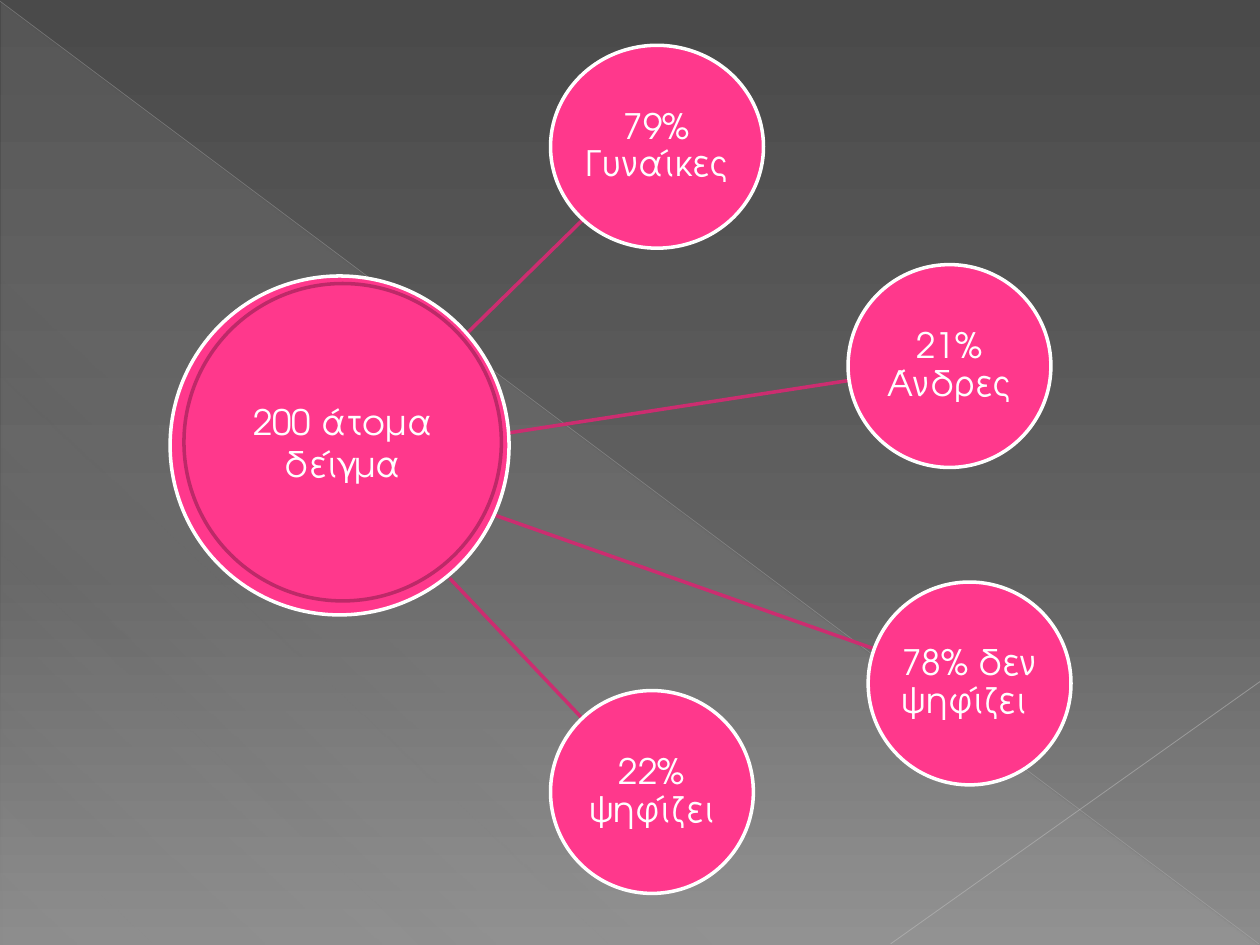
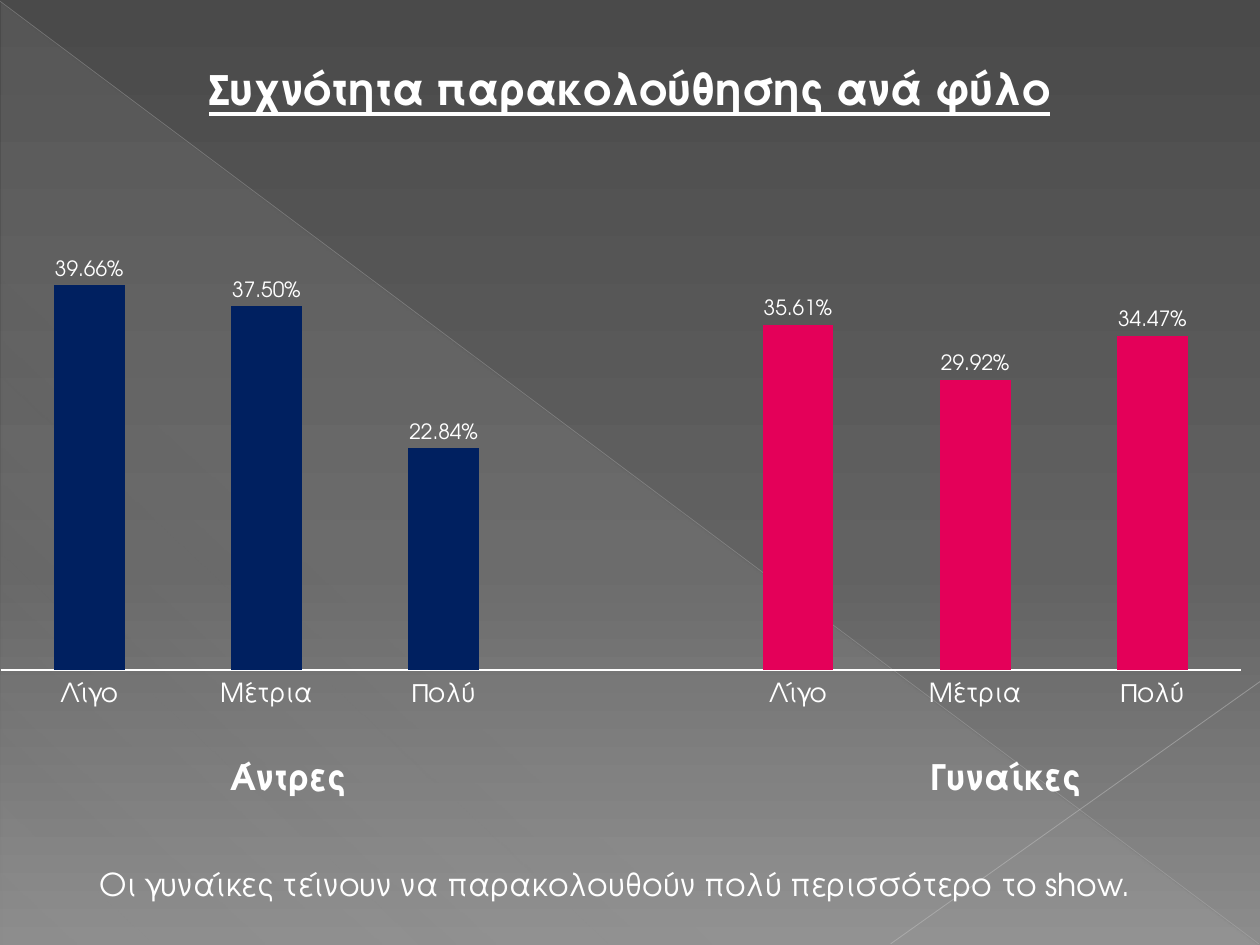
from lxml.etree import SubElement
from pptx import Presentation
from pptx.chart.data import CategoryChartData
from pptx.dml.color import RGBColor
from pptx.enum.chart import XL_CHART_TYPE, XL_LABEL_POSITION, XL_TICK_LABEL_POSITION, XL_TICK_MARK
from pptx.enum.shapes import MSO_CONNECTOR, MSO_SHAPE
from pptx.enum.text import MSO_ANCHOR, MSO_AUTO_SIZE, PP_ALIGN
from pptx.oxml import parse_xml
from pptx.oxml.ns import nsdecls, qn
from pptx.util import Pt

FONT = "TeX Gyre Adventor"
WHITE = RGBColor(0xFF, 0xFF, 0xFF)
PINK = RGBColor(0xFF, 0x38, 0x8C)
HUB_RING = RGBColor(0xBD, 0x29, 0x68)
SPOKE = RGBColor(0xCC, 0x2D, 0x70)
MEN_BLUE = RGBColor(0x00, 0x20, 0x60)
WOMEN_PINK = RGBColor(0xE4, 0x00, 0x59)
DARK_GREY = RGBColor(0x4A, 0x4A, 0x4A)
MID_GREY = RGBColor(0x62, 0x62, 0x62)
LIGHT_GREY = RGBColor(0x8C, 0x8C, 0x8C)
VEIL = RGBColor(0xD2, 0xD2, 0xD2)
FALLING_EDGE = RGBColor(0xBF, 0xBF, 0xBF)
RISING_EDGE = RGBColor(0xC6, 0xC6, 0xC6)

# left, top, width, height and label of each result circle
RESULTS = [
    (314.6, 25.9, 121.7, 115.9, "79% Γυναίκες"),
    (484.6, 151.2, 115.9, 115.9, "21% Άνδρες"),
    (496.1, 332.6, 115.9, 115.9, "78% δεν ψηφίζει "),
    (314.6, 394.6, 115.9, 115.9, "22% ψηφίζει"),
]
SPOKES = [
    (257, 330.5, 332.6, 410.4),
    (260.6, 286.6, 499.7, 370.8),
    (260.6, 252, 485.3, 217.4),
    (260.6, 196.6, 332.6, 126),
]
FREQUENCIES = ["Λίγο", "Μέτρια", "Πολύ"]
MEN = [0.3966, 0.375, 0.2284]
WOMEN = [0.3561, 0.2992, 0.3447]


def points(*lengths):
    return [Pt(length) for length in lengths]


def set_values(target, values):
    for name, value in values.items():
        setattr(target, name, value)


def set_font(font, size, **extra):
    set_values(font, {"name": FONT, "size": Pt(size), **extra})
    font.color.rgb = WHITE


def set_gradient(fill, properties, stops, angle):
    """Give fill the (position, colour, opacity) stops, in percent."""
    fill.gradient()
    marks = "".join(
        f'<a:gs pos="{position * 1000}"><a:srgbClr val="{color}">'
        f'<a:alpha val="{opacity * 1000}"/></a:srgbClr></a:gs>'
        for position, color, opacity in stops
    )
    gradient = parse_xml(
        f'<a:gradFill {nsdecls("a")} rotWithShape="1"><a:gsLst>{marks}</a:gsLst>'
        f'<a:lin ang="{angle * 60000}" scaled="0"/></a:gradFill>'
    )
    properties.replace(properties.find(qn("a:gradFill")), gradient)


def add_line(slide, ends, color, width, opacity=100):
    line = slide.shapes.add_connector(MSO_CONNECTOR.STRAIGHT, *points(*ends))
    line.line.color.rgb = color
    line.line.width = Pt(width)
    properties = line._element.spPr
    if opacity < 100:
        tone = next(properties.iter(qn("a:srgbClr")))
        SubElement(tone, qn("a:alpha"), val=str(opacity * 1000))
    SubElement(properties, qn("a:effectLst"))
    return line


def add_circle(slide, box, outline, label="", inset=7.2, spacing=1.0):
    circle = slide.shapes.add_shape(MSO_SHAPE.OVAL, *points(*box))
    circle.shadow.inherit = False
    circle.fill.solid()
    circle.fill.fore_color.rgb = PINK
    circle.line.color.rgb = outline
    circle.line.width = Pt(2)
    if label:
        sides = ("margin_left", "margin_right", "margin_top", "margin_bottom")
        frame = circle.text_frame
        set_values(frame, {side: Pt(inset) for side in sides})
        set_values(frame, {"word_wrap": True, "vertical_anchor": MSO_ANCHOR.MIDDLE})
        write(frame, label, 20, PP_ALIGN.CENTER, line_spacing=spacing)


def write(frame, text, size, alignment, line_spacing=1.0, **font_values):
    paragraph = frame.paragraphs[0]
    paragraph.text = text
    set_values(paragraph, {"alignment": alignment, "line_spacing": line_spacing})
    set_font(paragraph.runs[0].font, size, **font_values)


def add_caption(slide, box, text, size, alignment, tabs=(), **font_values):
    frame = slide.shapes.add_textbox(*points(*box)).text_frame
    frame.word_wrap = True
    if tabs:
        stops = SubElement(frame.paragraphs[0]._p.get_or_add_pPr(), qn("a:tabLst"))
        for position in tabs:
            SubElement(stops, qn("a:tab"), pos=str(Pt(position)), algn="ctr")
    write(frame, text, size, alignment, **font_values)


def set_title(slide, box, text):
    title = slide.shapes.title
    set_values(title, dict(zip(("left", "top", "width", "height"), points(*box))))
    set_values(title.text_frame, {
        "word_wrap": True,
        "auto_size": MSO_AUTO_SIZE.NONE,
        "vertical_anchor": MSO_ANCHOR.TOP,
    })
    write(title.text_frame, text, 25, PP_ALIGN.CENTER, bold=True, underline=True)


def decorate_master(master, slide):
    """Draw the shared backdrop on slide and move it to the master."""
    fill = master.background.fill
    fill.solid()
    set_gradient(
        fill, next(master.element.iter(qn("p:bgPr"))),
        [(0, DARK_GREY, 100), (60, MID_GREY, 100), (100, LIGHT_GREY, 100)], 90,
    )
    veil = slide.shapes.add_shape(MSO_SHAPE.RIGHT_TRIANGLE, *points(0.7, 1.4, 718.6, 538.6))
    veil.shadow.inherit = False
    veil.line.fill.background()
    set_gradient(
        veil.fill, veil._element.spPr,
        [(0, VEIL, 10), (70, VEIL, 8), (100, VEIL, 1)], 133,
    )
    falling = add_line(slide, (0, 0.7, 719.3, 539.3), FALLING_EDGE, 0.39, 35)
    rising = add_line(slide, (720, 389.5, 509, 539.3), RISING_EDGE, 0.47, 45)
    tree = master.element.cSld.spTree
    for position, part in enumerate((veil, falling, rising), start=2):
        tree.insert(position, part._element)


def set_plot_area(chart, **fractions):
    plot_area = chart._chartSpace.chart.plotArea
    for old_layout in plot_area.findall(qn("c:layout")):
        plot_area.remove(old_layout)
    layout = parse_xml(f'<c:layout {nsdecls("c")}/>')
    plot_area.insert(0, layout)
    manual = SubElement(layout, qn("c:manualLayout"))
    settings = {"layoutTarget": "inner", "xMode": "edge", "yMode": "edge", **fractions}
    for tag, value in settings.items():
        SubElement(manual, qn(f"c:{tag}"), val=str(value))


def add_frequency_chart(slide, box):
    data = CategoryChartData(number_format="0.00%")
    data.categories = FREQUENCIES + [""] + FREQUENCIES
    data.add_series("Series 1", MEN + [None] + WOMEN)
    chart = slide.shapes.add_chart(XL_CHART_TYPE.COLUMN_CLUSTERED, *points(*box), data).chart
    set_values(chart, {"has_legend": False, "has_title": False})
    set_font(chart.font, 10)

    set_values(chart.value_axis, {
        "visible": False,
        "has_major_gridlines": False,
        "minimum_scale": 0,
        "maximum_scale": 0.45,
    })
    frequency_axis = chart.category_axis
    set_values(frequency_axis, {
        "major_tick_mark": XL_TICK_MARK.NONE,
        "minor_tick_mark": XL_TICK_MARK.NONE,
        "tick_label_position": XL_TICK_LABEL_POSITION.LOW,
    })
    set_font(frequency_axis.tick_labels.font, 15)
    frequency_axis.format.line.color.rgb = WHITE
    frequency_axis.format.line.width = Pt(0.75)

    plot = chart.plots[0]
    set_values(plot, {
        "vary_by_categories": False,
        "gap_width": 150,
        "overlap": -25,
        "has_data_labels": True,
    })
    set_values(plot.data_labels, {
        "show_value": True,
        "number_format": "0.00%",
        "number_format_is_linked": False,
        "position": XL_LABEL_POSITION.OUTSIDE_END,
    })
    set_font(plot.data_labels.font, 12)

    answers = plot.series[0]
    answers.format.fill.solid()
    answers.format.fill.fore_color.rgb = PINK
    for first, color in ((0, MEN_BLUE), (len(MEN) + 1, WOMEN_PINK)):
        for index in range(first, first + len(FREQUENCIES)):
            bar_fill = answers.points[index].format.fill
            bar_fill.solid()
            bar_fill.fore_color.rgb = color
    set_plot_area(chart, x=0, y=0.034, w=0.985, h=0.772)


def build_sample_slide(slide):
    for ends in SPOKES:
        add_line(slide, ends, SPOKE, 2)
    add_circle(slide, (97.2, 157.7, 193.7, 193.7), WHITE)
    for *box, label in RESULTS:
        add_circle(slide, box, WHITE, label, inset=0.7, spacing=0.9)
    add_circle(slide, (105.1, 162, 181.4, 181.4), HUB_RING, "200 άτομα δείγμα")


def build_frequency_slide(slide):
    add_frequency_chart(slide, (0, 122.4, 720, 323.3))
    set_title(slide, (48.2, 31.7, 623.5, 38.9), "Συχνότητα παρακολούθησης ανά φύλο")
    add_caption(slide, (36.7, 428.4, 652.3, 31.7), "\tΆντρες\tΓυναίκες", 20,
                PP_ALIGN.LEFT, tabs=(121, 531), bold=True)
    add_caption(slide, (25.2, 491, 652.3, 28.8),
                "Οι γυναίκες τείνουν να παρακολουθούν πολύ περισσότερο το show.",
                18, PP_ALIGN.CENTER)


def main():
    presentation = Presentation()
    set_values(presentation, {"slide_width": Pt(720), "slide_height": Pt(540)})
    title_only, blank = presentation.slide_layouts[5], presentation.slide_layouts[6]
    sample = presentation.slides.add_slide(blank)
    decorate_master(presentation.slide_master, sample)
    build_sample_slide(sample)
    build_frequency_slide(presentation.slides.add_slide(title_only))
    presentation.save("out.pptx")


if __name__ == "__main__":
    main()
